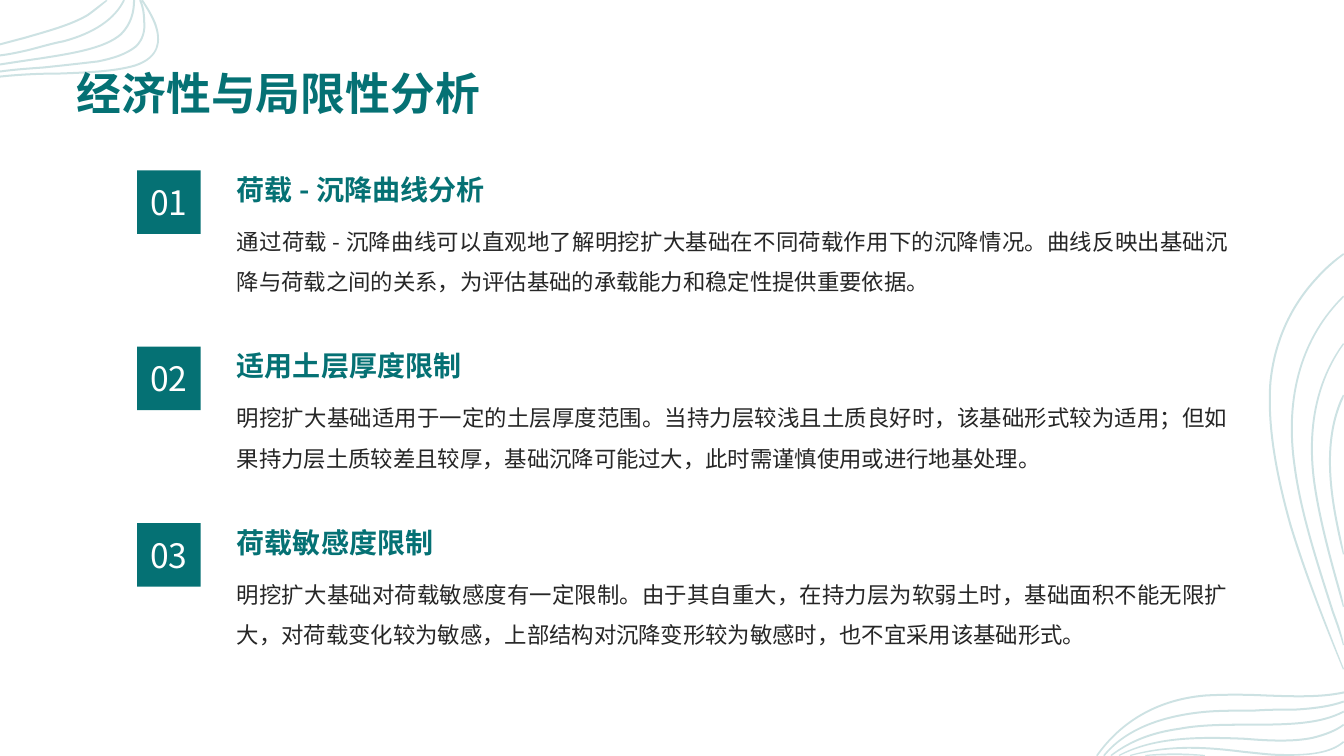
"""Build the slide on the economics and limits of spread foundations."""
import math

import lxml.etree
import pptx
import pptx.dml.color
import pptx.enum.shapes
import pptx.enum.text
import pptx.oxml.ns
import pptx.util

TITLE = "经济性与局限性分析"
SECTIONS = [
    ("荷载 - 沉降曲线分析",
     "通过荷载 - 沉降曲线可以直观地了解明挖扩大基础在不同荷载作用下的沉降情况。曲线反映出基础沉降与荷载之间的关系，为评估基础的承载能力和稳定性提供重要依据。"),
    ("适用土层厚度限制",
     "明挖扩大基础适用于一定的土层厚度范围。当持力层较浅且土质良好时，该基础形式较为适用；但如果持力层土质较差且较厚，基础沉降可能过大，此时需谨慎使用或进行地基处理。"),
    ("荷载敏感度限制",
     "明挖扩大基础对荷载敏感度有一定限制。由于其自重大，在持力层为软弱土时，基础面积不能无限扩大，对荷载变化较为敏感，上部结构对沉降变形较为敏感时，也不宜采用该基础形式。"),
]
COLORS = {"teal": "057174", "text": "262626", "white": "FFFFFF"}
FONT = "Noto Sans CJK SC"
WIDTH, HEIGHT = 13.33, 7.5
TOP, PITCH = 1.62, 1.75
TEXT_LEFT, TEXT_WIDTH = 2.35, 9.84
HEADING_HEIGHT, BODY_HEIGHT = 0.51, 1.15
BADGE_LEFT, BADGE_DROP, BADGE_SIZE = 1.36, 0.07, 0.63
WAVE_HALF_WIDTH, WAVE_ALPHA = 0.01, "20000"
TOP_LEFT_WAVES = [
    [(0, .44), (.08, .42), (.15, .4), (.23, .38), (.47, .31), (.7, .25), (.87, .15),
     (.94, .1), (1, .05), (1.06, 0)],
    [(1.41, 0), (1.46, .08), (1.51, .16), (1.54, .24), (1.6, .41), (1.58, .57), (1.34, .65),
     (1.14, .71), (.86, .72), (.59, .73), (.39, .73), (.19, .74), (0, .76)],
    [(1.39, 0), (1.42, .07), (1.43, .14), (1.43, .21), (1.44, .3), (1.42, .39), (1.35, .46),
     (1.25, .54), (1.12, .58), (.97, .61), (.8, .63), (.62, .65), (.43, .67),
     (.29, .68), (.14, .69), (0, .71)],
    [(0, .64), (.13, .62), (.26, .6), (.4, .58), (.72, .53), (1.04, .48), (1.2, .34),
     (1.3, .24), (1.33, .12), (1.33, 0)],
    [(0, .55), (.09, .54), (.18, .52), (.27, .5), (.39, .47), (.52, .43), (.63, .41),
     (.93, .33), (1.14, .19), (1.23, 0)],
]
RIGHT_WAVES = [
    [(13.33, 3.92), (13.32, 3.94), (13.31, 3.96), (13.3, 3.98), (13.15, 4.34), (13.17, 4.76),
     (13.27, 5.24), (13.29, 5.34), (13.31, 5.42), (13.33, 5.5)],
    [(13.33, 3.41), (13.05, 3.79), (12.95, 4.29), (13.05, 4.88), (13.1, 5.18), (13.18, 5.49),
     (13.27, 5.81), (13.29, 5.88), (13.31, 5.95), (13.33, 6.02)],
    [(13.33, 2.94), (12.92, 3.34), (12.74, 3.92), (12.84, 4.62), (12.9, 5.08), (13.06, 5.57),
     (13.22, 6.07), (13.26, 6.18), (13.3, 6.29), (13.33, 6.4)],
    [(13.33, 2.52), (13.23, 2.59), (13.14, 2.67), (13.06, 2.76), (12.8, 3.04), (12.64, 3.39),
     (12.6, 3.8), (12.57, 4.23), (12.66, 4.71), (12.8, 5.21), (12.94, 5.67), (13.13, 6.16),
     (13.33, 6.64)],
    [(13.33, 6.87), (13.1, 6.92), (12.83, 6.91), (12.55, 6.9), (12.35, 6.89), (12.15, 6.89),
     (11.96, 6.9), (11.47, 6.94), (11.11, 7.17), (10.88, 7.5)],
    [(13.33, 6.96), (13.19, 7.01), (13.02, 7.03), (12.85, 7.04), (12.71, 7.04), (12.58, 7.04),
     (12.44, 7.05), (12.28, 7.05), (12.12, 7.05), (11.98, 7.06), (11.5, 7.1), (11.15, 7.25),
     (10.95, 7.5)],
    [(13.33, 7.06), (13.1, 7.18), (12.81, 7.19), (12.39, 7.19), (12.15, 7.19), (11.91, 7.19),
     (11.7, 7.23), (11.41, 7.27), (11.2, 7.36), (11.02, 7.5)],
    [(13.33, 7.19), (13.25, 7.25), (13.14, 7.29), (13.02, 7.32), (12.83, 7.36), (12.59, 7.35),
     (12.35, 7.33), (11.89, 7.31), (11.45, 7.31), (11.1, 7.5)],
    [(13.33, 7.36), (13.2, 7.47), (12.99, 7.5), (12.71, 7.49), (12.59, 7.49), (12.46, 7.47),
     (12.34, 7.46), (11.95, 7.41), (11.6, 7.39), (11.21, 7.5)],
    [(11.36, 7.5), (11.55, 7.48), (11.75, 7.48), (11.95, 7.5)],
]
ALIGN = pptx.enum.text.PP_ALIGN
ANCHOR = pptx.enum.text.MSO_ANCHOR
Inches = pptx.util.Inches
qn = pptx.oxml.ns.qn


def color(name):
    return pptx.dml.color.RGBColor.from_string(COLORS[name])


def offset_curve(points, distance):
    moved = []
    for index, (x, y) in enumerate(points):
        before = points[max(index - 1, 0)]
        after = points[min(index + 1, len(points) - 1)]
        run, rise = after[0] - before[0], after[1] - before[1]
        length = math.hypot(run, rise)
        new_x = min(max(x - distance * rise / length, 0), WIDTH)
        new_y = min(max(y + distance * run / length, 0), HEIGHT)
        moved.append((Inches(new_x), Inches(new_y)))
    return moved


def bend(corners):
    for first in range(0, len(corners), 3):
        curve = lxml.etree.Element(qn("a:cubicBezTo"))
        corners[first].addprevious(curve)
        for corner in corners[first:first + 3]:
            curve.append(corner[0])
            corner.getparent().remove(corner)


def add_waves(slide, waves):
    builder = None
    for points in waves:
        outline = (offset_curve(points, WAVE_HALF_WIDTH)
                   + offset_curve(points, -WAVE_HALF_WIDTH)[::-1])
        if builder is None:
            builder = slide.shapes.build_freeform(*outline[0])
        else:
            builder.move_to(*outline[0])
        builder.add_line_segments(outline[1:], close=True)
    shape = builder.convert_to_shape()
    shape.shadow.inherit = False
    shape.line.fill.background()
    shape.fill.solid()
    shape.fill.fore_color.rgb = color("teal")
    tint = shape._element.spPr.find(qn("a:solidFill"))[0]
    lxml.etree.SubElement(tint, qn("a:alpha"), val=WAVE_ALPHA)
    corners = list(shape._element.iter(qn("a:lnTo")))
    for points in waves:
        side = len(points) - 1
        bend(corners[:side])
        bend(corners[side + 1:2 * side + 1])
        corners = corners[2 * side + 1:]


def write(shape, text, size, color_name, align, anchor, bold=False, spacing=1.0):
    frame = shape.text_frame
    frame.text = text
    frame.word_wrap = True
    frame.auto_size = pptx.enum.text.MSO_AUTO_SIZE.NONE
    frame.vertical_anchor = anchor
    frame.margin_left = frame.margin_right = frame.margin_top = frame.margin_bottom = 0
    paragraph = frame.paragraphs[0]
    paragraph.alignment = align
    paragraph.line_spacing = spacing
    font = paragraph.runs[0].font
    font.name, font.size, font.bold = FONT, pptx.util.Pt(size), bold
    font.color.rgb = color(color_name)
    properties = paragraph.runs[0]._r.get_or_add_rPr()
    properties.set("lang", "zh-CN")
    east_asian = properties.makeelement(qn("a:ea"), {"typeface": FONT})
    properties.find(qn("a:latin")).addnext(east_asian)


def add_section(slide, index, heading, body):
    top = TOP + index * PITCH
    body_box = slide.shapes.add_textbox(
        Inches(TEXT_LEFT), Inches(top + HEADING_HEIGHT), Inches(TEXT_WIDTH), Inches(BODY_HEIGHT))
    write(body_box, body, 16, "text", ALIGN.JUSTIFY, ANCHOR.TOP, spacing=1.5)
    heading_box = slide.shapes.add_textbox(
        Inches(TEXT_LEFT), Inches(top), Inches(TEXT_WIDTH), Inches(HEADING_HEIGHT))
    write(heading_box, heading, 20, "teal", ALIGN.JUSTIFY, ANCHOR.MIDDLE, bold=True)
    badge = slide.shapes.add_shape(
        pptx.enum.shapes.MSO_SHAPE.RECTANGLE, Inches(BADGE_LEFT), Inches(top + BADGE_DROP),
        Inches(BADGE_SIZE), Inches(BADGE_SIZE))
    badge.shadow.inherit = False
    badge.fill.solid()
    badge.fill.fore_color.rgb = color("teal")
    badge.line.fill.background()
    write(badge, f"{index + 1:02d}", 24, "white", ALIGN.CENTER, ANCHOR.MIDDLE)


def main():
    presentation = pptx.Presentation()
    presentation.slide_width, presentation.slide_height = Inches(WIDTH), Inches(HEIGHT)
    slide = presentation.slides.add_slide(presentation.slide_layouts[5])
    for waves in (TOP_LEFT_WAVES, RIGHT_WAVES):
        add_waves(slide, waves)
    title = slide.shapes.title
    slide.shapes._spTree.append(title._element)
    title.left, title.top, title.width, title.height = map(Inches, (0.76, 0.4, 11.81, 0.79))
    write(title, TITLE, 32, "teal", ALIGN.LEFT, ANCHOR.BOTTOM, bold=True)
    for index, (heading, body) in enumerate(SECTIONS):
        add_section(slide, index, heading, body)
    presentation.save("out.pptx")


if __name__ == "__main__":
    main()
